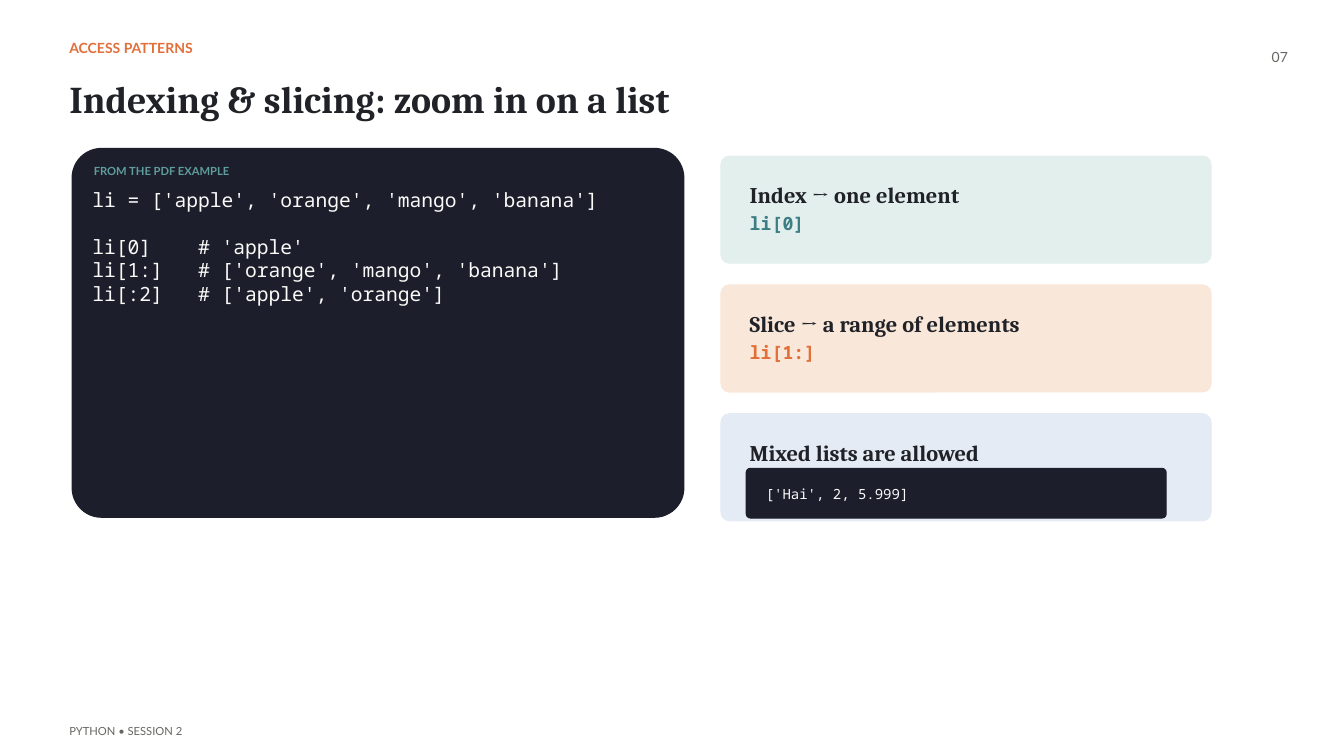
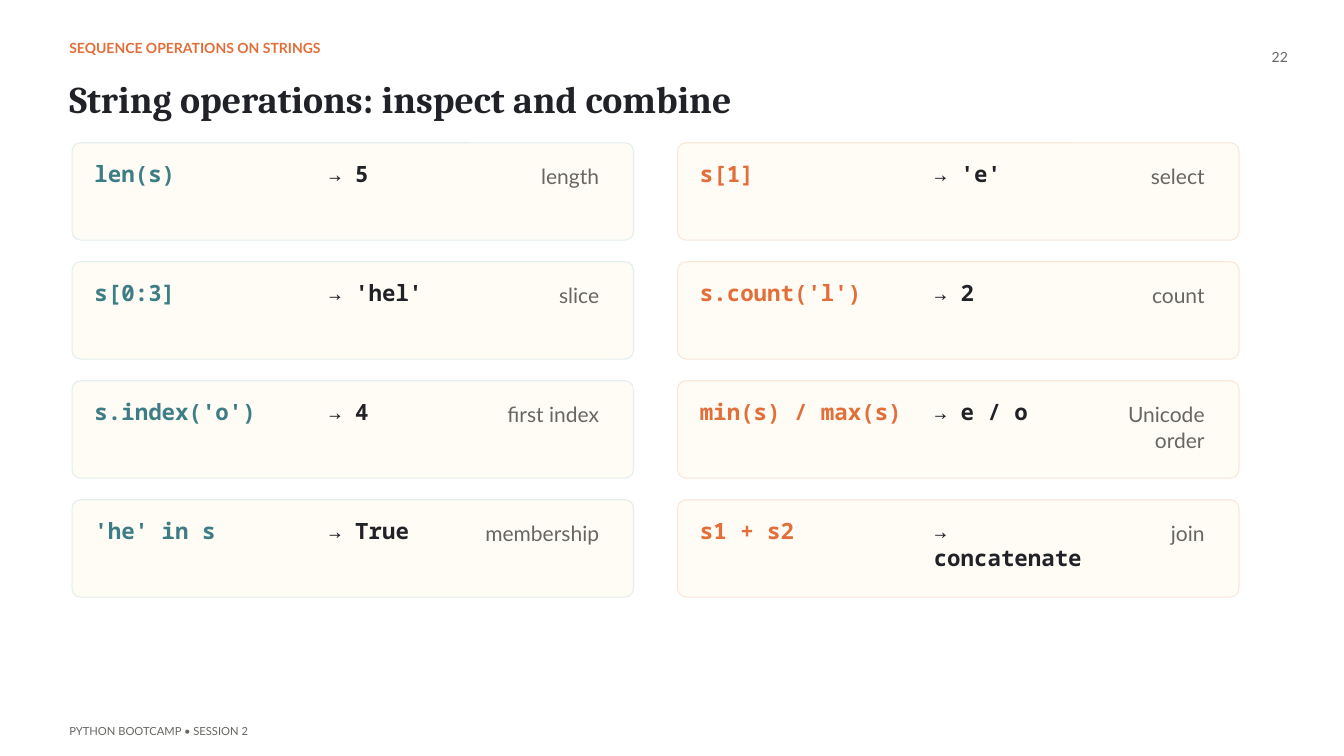
from dataclasses import dataclass

from pptx import Presentation
from pptx import util as u
from pptx.dml.color import RGBColor
from pptx.enum import shapes, text

PX = u.Inches(1) // 96
WIDE, HIGH = 1920, 1080
LEFT = 99
EDGE = 103
LEAD = 1.2


@dataclass(frozen=True)
class Theme:
    ink: str = "202228"
    grey: str = "676662"
    night: str = "1C1F2B"
    snow: str = "FAFAF8"
    cream: str = "FFFCF6"
    teal: str = "3D7D85"
    haze: str = "5F9C9E"
    rust: str = "E26F39"
    mint: str = "E2EFED"
    peach: str = "F9E7D9"
    sky: str = "E4EBF4"
    serif: str = "Cambria"
    sans: str = "Lato"
    mono: str = "Noto Sans Mono"

    def style(self, role):
        """Return font name, size, colour and weight of a text role."""
        return {
            "kicker": (self.sans, 15, self.rust, True),
            "title": (self.serif, 40.5, self.ink, True),
            "page": (self.sans, 15, self.grey, False),
            "foot": (self.sans, 12, self.grey, False),
            "label": (self.sans, 12, self.haze, True),
            "code": (self.mono, 21, self.snow, False),
            "snip": (self.mono, 15, self.snow, False),
            "head": (self.serif, 24, self.ink, True),
            "term": (self.mono, 19.5, self.ink, True),
            "call": (self.mono, 24, self.ink, True),
            "hint": (self.sans, 22.5, self.grey, False),
        }[role]


class Deck:
    def __init__(self, theme):
        self.theme = theme
        self.prs = Presentation()
        self.prs.slide_width = WIDE * PX
        self.prs.slide_height = HIGH * PX
        self.slide = None

    def page(self, kicker, title, num, foot):
        """Start a slide with the parts that all slides share."""
        self.slide = self.prs.slides.add_slide(self.prs.slide_layouts[5])
        self.text((LEFT, 56, 827, 41), kicker, "kicker")
        self.fit(self.slide.shapes.title, (LEFT, 108, 1604, 85), title, "title")
        self.text((1770, 70, 70, 41), num, "page", right=True)
        self.text((LEFT, 1035, 927, 20), foot, "foot")

    def text(self, box, words, role, **opts):
        shape = self.slide.shapes.add_textbox(0, 0, 0, 0)
        self.fit(shape, box, words, role, **opts)

    def fit(self, shape, box, words, role, color=None, right=False):
        """Place a shape and fill it; an empty line becomes space before the next."""
        name, size, tint, bold = self.theme.style(role)
        for key, val in zip(("left", "top", "width", "height"), box):
            setattr(shape, key, val * PX)
        frame = shape.text_frame
        form = dict(margin_left=0, margin_top=0, margin_right=0, margin_bottom=0,
                    word_wrap=True, vertical_anchor=text.MSO_ANCHOR.TOP,
                    auto_size=text.MSO_AUTO_SIZE.SHAPE_TO_FIT_TEXT)
        for key, val in form.items():
            setattr(frame, key, val)
        lead = u.Pt(size * LEAD)
        gap, first = 0, True
        for line in words.split("\n"):
            if not line:
                gap += lead
                continue
            para = frame.paragraphs[0] if first else frame.add_paragraph()
            para.line_spacing = lead
            para.alignment = text.PP_ALIGN.RIGHT if right else text.PP_ALIGN.LEFT
            if gap:
                para.space_before = u.Emu(gap)
            run = para.add_run()
            run.text = line
            for key, val in dict(name=name, size=u.Pt(size), bold=bold).items():
                setattr(run.font, key, val)
            run.font.color.rgb = RGBColor.from_string(color or tint)
            gap, first = 0, False

    def card(self, box, fill, line=None, curve=12):
        """Draw a rounded box; the outline takes the fill colour by default."""
        shape = self.slide.shapes.add_shape(
            shapes.MSO_SHAPE.ROUNDED_RECTANGLE, *(n * PX for n in box))
        shape.adjustments[0] = curve / min(box[2:])
        shape.shadow.inherit = False
        shape.fill.solid()
        shape.fill.fore_color.rgb = RGBColor.from_string(fill)
        shape.line.color.rgb = RGBColor.from_string(line or fill)
        shape.line.width = u.Pt(1.13)


CODE = """li = ['apple', 'orange', 'mango', 'banana']

li[0]    # 'apple'
li[1:]   # ['orange', 'mango', 'banana']
li[:2]   # ['apple', 'orange']"""


def access(deck):
    th = deck.theme
    deck.page("ACCESS PATTERNS", "Indexing & slicing: zoom in on a list",
              "07", "PYTHON • SESSION 2")
    deck.card((EDGE, 212, 874, 527), th.night, curve=42)
    deck.text((134, 235, 810, 27), "FROM THE PDF EXAMPLE", "label")
    deck.text((132, 268, 816, 444), CODE, "code")

    ideas = [
        ("Index → one element", "li[0]", th.mint, th.teal),
        ("Slice → a range of elements", "li[1:]", th.peach, th.rust),
        ("Mixed lists are allowed", None, th.sky, None),
    ]
    for row, (head, term, fill, color) in enumerate(ideas):
        top = 223 + 184 * row
        deck.card((1030, top, 700, 153), fill)
        deck.text((1071, top + 36, 611, 31), head, "head")
        if term:
            deck.text((1071, top + 81, 307, 37), term, "term", color=color)
    deck.card((1066, 669, 600, 71), th.night, curve=6)
    deck.text((1094, 694, 542, 17), "['Hai', 2, 5.999]", "snip")


CALLS = [
    ("len(s)", "5", "length"), ("s[1]", "'e'", "select"),
    ("s[0:3]", "'hel'", "slice"), ("s.count('l')", "2", "count"),
    ("s.index('o')", "4", "first index"),
    ("min(s) / max(s)", "e / o", "Unicode order"),
    ("'he' in s", "True", "membership"), ("s1 + s2", "concatenate", "join"),
]


def strings(deck):
    th = deck.theme
    deck.page("SEQUENCE OPERATIONS ON STRINGS",
              "String operations: inspect and combine",
              "22", "PYTHON BOOTCAMP • SESSION 2")
    tones = [(th.teal, th.mint), (th.rust, th.peach)]
    for i, (call, value, hint) in enumerate(CALLS):
        row, col = divmod(i, 2)
        left, top = EDGE + 865 * col, 204 + 170 * row
        color, line = tones[col]
        span = 172 if hint == "membership" else 149
        deck.card((left, top, 802, 139), th.cream, line)
        deck.text((left + 32, top + 25, 315, 43), call, "call", color=color)
        deck.text((left + 366, top + 25, 228, 43), f"→ {value}", "call")
        deck.text((left + 753 - span, top + 30, span, 36), hint, "hint", right=True)


def main():
    deck = Deck(Theme())
    access(deck)
    strings(deck)
    deck.prs.save("out.pptx")


if __name__ == "__main__":
    main()
